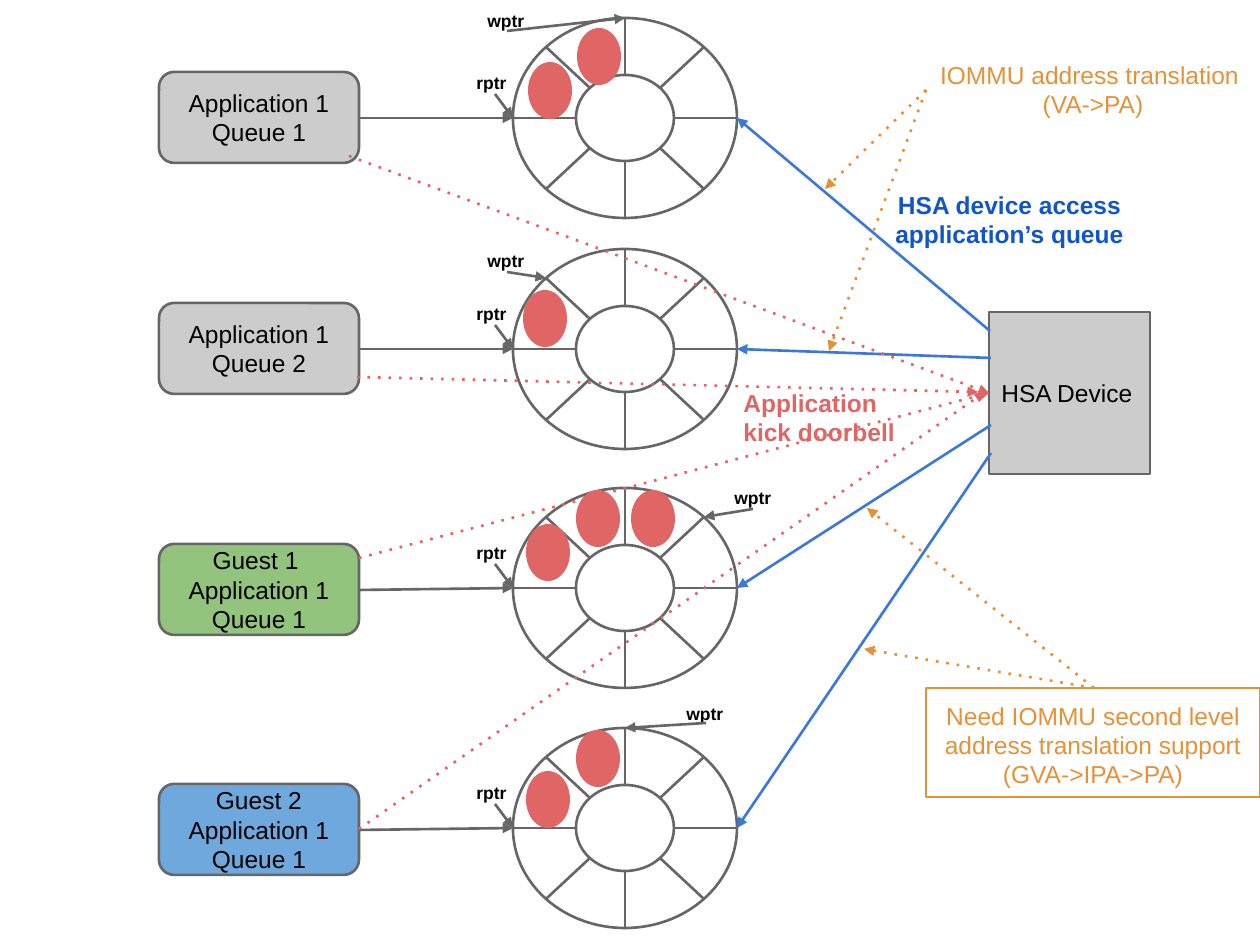
import math
from dataclasses import dataclass

from pptx import Presentation
from pptx.dml.color import RGBColor
from pptx.enum import shapes, text
from pptx.oxml import parse_xml
from pptx.oxml.ns import nsdecls
from pptx.util import Emu, Pt

PX = 914400 / 126  # EMU in one px
KIND = shapes.MSO_SHAPE
MID, LEFT = text.PP_ALIGN.CENTER, text.PP_ALIGN.LEFT


@dataclass(frozen=True)
class Theme:
    font: str = "Arial"
    body: int = 14
    small: int = 10
    wide: float = 1.5
    thin: float = 0.75
    ink: str = "000000"
    edge: str = "666666"
    gray: str = "CCCCCC"
    green: str = "93C47D"
    sky: str = "6FA8DC"
    blue: str = "3C78D8"
    navy: str = "1155CC"
    red: str = "E06666"
    gold: str = "E69138"


T = Theme()

# Ring geometry: centre x, outer radii, inner radii
RING_X = 625
OUTER = (112, 100)
INNER = (49, 43)
DOT = (44, 57)

# Queues: centre y, box top, fill, lines, filled slots, wptr label, wptr tail, wptr spoke
QUEUES = [
    (118, 72, T.gray, ["Application 1", "Queue 1"],
     [(528, 62), (577, 28)], (475, -1), (507, 31), 6),
    (349, 303, T.gray, ["Application 1", "Queue 2"],
     [(523, 290)], (475, 239), (507, 272), 5),
    (588, 544, T.green, ["Guest 1 ", "Application 1", "Queue 1"],
     [(526, 524), (576, 490), (631, 490)], (722, 476), (753, 509), 7),
    (828, 784, T.sky, ["Guest 2", "Application 1", "Queue 1"],
     [(526, 771), (576, 730)], (674, 692), (706, 723), 6),
]

ACCESS = [(990, 331), (991, 358), (991, 425), (991, 453)]
KICKS = [((349, 156), (989, 393)), ((357, 377), (978, 392)),
         ((359, 558), (989, 393)), ((359, 829), (985, 392))]
NOTES = [((1094, 688), (867, 508)), ((1094, 688), (864, 649)),
         ((926, 90), (825, 189)), ((926, 90), (829, 351))]


def emu(*vals):
    return [Emu(round(v * PX)) for v in vals]


def rgb(code):
    return RGBColor.from_string(code)


def write(shape, lines, color=T.ink, size=T.body, bold=False,
          align=MID, anchor=text.MSO_ANCHOR.TOP):
    frame = shape.text_frame
    frame.word_wrap = True
    frame.vertical_anchor = anchor
    frame.margin_left = frame.margin_right = Pt(7.2)
    frame.margin_top = frame.margin_bottom = Pt(7.2)
    for i, line in enumerate(lines):
        para = frame.paragraphs[0] if i == 0 else frame.add_paragraph()
        para.alignment = align
        run = para.add_run()
        run.text = line
        run.font.name = T.font
        run.font.size = Pt(size)
        run.font.bold = bold
        run.font.color.rgb = rgb(color)


def block(slide, kind, box, fill=None, edge=None, wide=T.wide):
    shape = slide.shapes.add_shape(kind, *emu(*box))
    shape.shadow.inherit = False
    if fill:
        shape.fill.solid()
        shape.fill.fore_color.rgb = rgb(fill)
    else:
        shape.fill.background()
    if edge:
        shape.line.color.rgb = rgb(edge)
        shape.line.width = Pt(wide)
    else:
        shape.line.fill.background()
    return shape


def label(slide, box, lines, **style):
    write(slide.shapes.add_textbox(*emu(*box)), lines, **style)


def link(slide, start, end, color=T.edge, dots=False, arrow=True):
    line = slide.shapes.add_connector(
        shapes.MSO_CONNECTOR.STRAIGHT, *emu(*start, *end))
    line.line.color.rgb = rgb(color)
    line.line.width = Pt(T.wide)
    stroke = line.line._get_or_add_ln()
    if dots:
        stroke.append(parse_xml(f'<a:prstDash {nsdecls("a")} val="dot"/>'))
    if arrow:
        stroke.append(parse_xml(f'<a:tailEnd {nsdecls("a")} type="triangle"/>'))
    line._element.spPr.append(parse_xml(f'<a:effectLst {nsdecls("a")}/>'))


def rim(y, radii, step):
    """Point on a ring's ellipse, counted clockwise in eighths from the right."""
    turn = step * math.pi / 4
    return (round(RING_X + radii[0] * math.cos(turn)),
            round(y + radii[1] * math.sin(turn)))


def ring(slide, y):
    for a, b in (OUTER, INNER):
        block(slide, KIND.OVAL, (RING_X - a, y - b, 2 * a, 2 * b), edge=T.edge)
    for step in range(8):
        link(slide, rim(y, INNER, step), rim(y, OUTER, step), arrow=False)


def queue(slide, y, top, fill, lines):
    box = block(slide, KIND.ROUNDED_RECTANGLE, (159, top, 200, 91), fill, T.edge)
    write(box, lines, anchor=text.MSO_ANCHOR.MIDDLE)
    ring(slide, y)
    link(slide, (359, top + 46), rim(y, OUTER, 4))


def marks(slide, y, slots, tag, tail, step):
    for spot in slots:
        block(slide, KIND.OVAL, (*spot, *DOT), T.red)
    style = dict(size=T.small, bold=True, align=LEFT)
    link(slide, (495, y - 24), rim(y, OUTER, 4))
    label(slide, (464, y - 57, 63, 33), ["rptr"], **style)
    label(slide, (*tag, 63, 33), ["wptr"], **style)
    link(slide, tail, rim(y, OUTER, step))


def main():
    deck = Presentation()
    deck.slide_width, deck.slide_height = emu(1260, 945)
    slide = deck.slides.add_slide(deck.slide_layouts[6])

    # Application queues and the device
    for y, top, fill, lines, *_ in QUEUES:
        queue(slide, y, top, fill, lines)
    device = block(slide, KIND.RECTANGLE, (989, 312, 161, 162), T.gray, T.edge)
    write(device, ["HSA Device"], align=LEFT, anchor=text.MSO_ANCHOR.MIDDLE)

    # Device access to each ring
    for start, row in zip(ACCESS, QUEUES):
        link(slide, start, rim(row[0], OUTER, 0), T.blue)
    label(slide, (869, 177, 281, 113), ["HSA device access application’s queue"],
          color=T.navy, bold=True)

    # Doorbells
    for start, end in KICKS:
        link(slide, start, end, T.red, dots=True)
    label(slide, (731, 375, 181, 87), ["Application kick doorbell"],
          color=T.red, bold=True, align=LEFT)

    # Address translation notes
    for start, end in NOTES:
        link(slide, start, end, T.gold, dots=True)
    note = block(slide, KIND.RECTANGLE, (926, 688, 334, 109),
                 edge=T.gold, wide=T.thin)
    write(note, ["Need IOMMU second level address translation support",
                 "(GVA->IPA->PA)"], color=T.gold)
    label(slide, (926, 47, 334, 87),
          ["IOMMU address translation ", "(VA->PA)"], color=T.gold)

    # Filled slots and ring pointers
    for y, _, _, _, *rest in QUEUES:
        marks(slide, y, *rest)

    deck.save("out.pptx")


if __name__ == "__main__":
    main()
